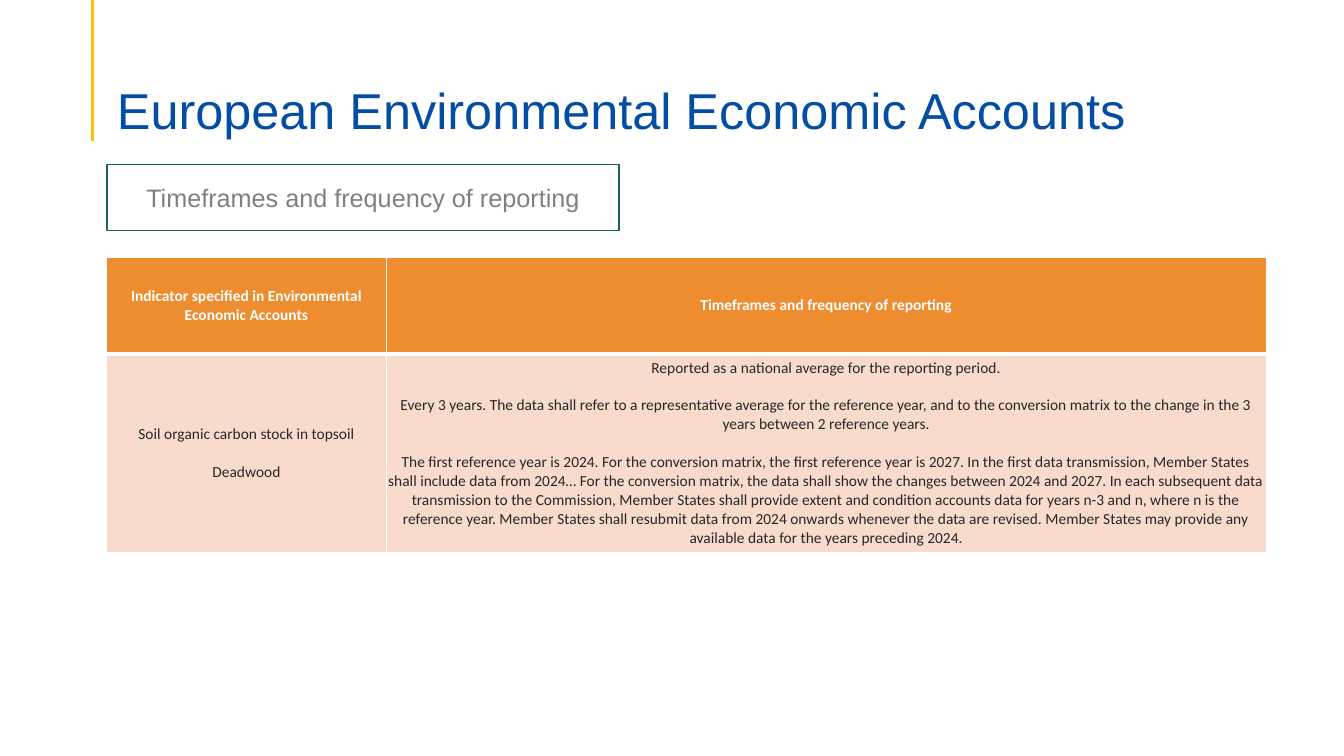
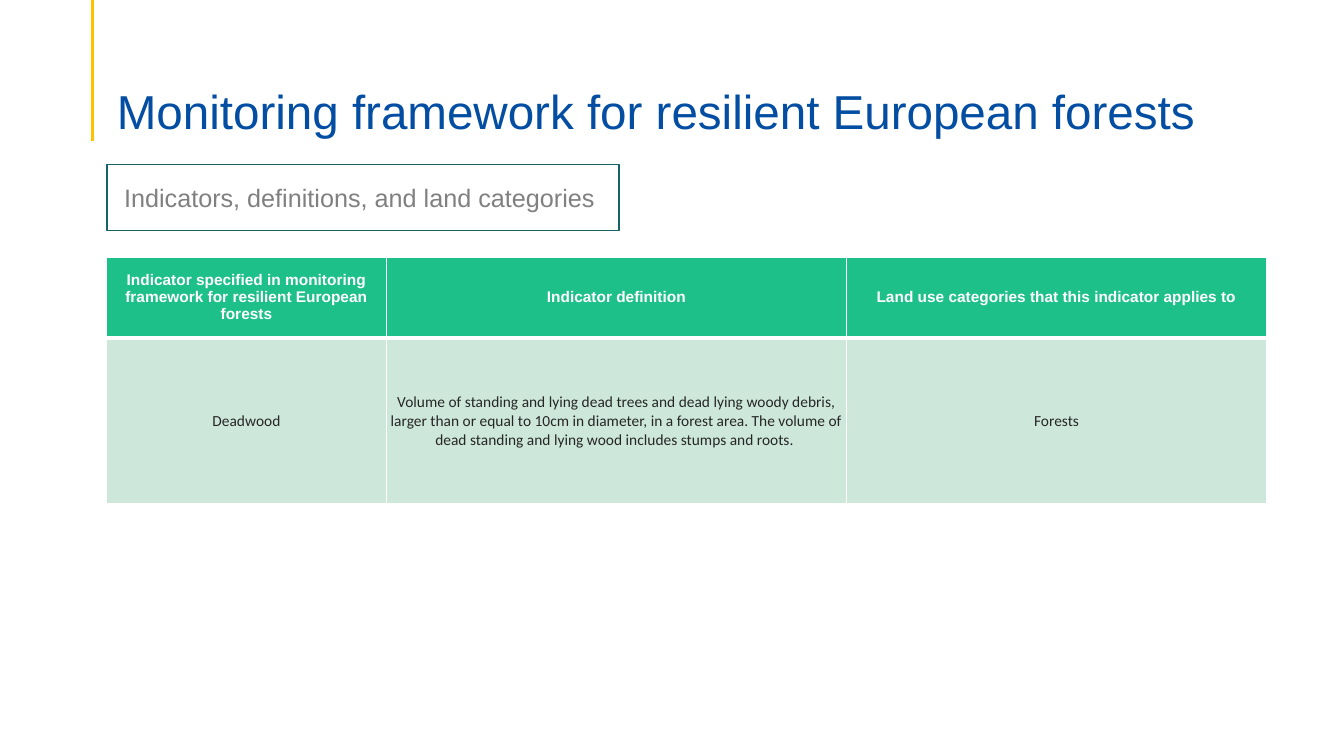
from lxml.etree import SubElement
from pptx import Presentation
from pptx.dml.color import RGBColor
from pptx.enum.shapes import MSO_CONNECTOR as Connector, MSO_SHAPE as Shape
from pptx.enum.text import MSO_ANCHOR as Anchor, MSO_AUTO_SIZE as AutoSize, PP_ALIGN as Align
from pptx.oxml.ns import qn
from pptx.util import Emu, Pt

WHITE = RGBColor(0xFF, 0xFF, 0xFF)
GOLD = RGBColor(0xFF, 0xC0, 0x00)
BLUE = RGBColor(0x03, 0x4E, 0xA2)
TEAL = RGBColor(0x16, 0x62, 0x67)
GRAY = RGBColor(0x80, 0x80, 0x80)
INK = RGBColor(0x26, 0x26, 0x26)
ORANGE = RGBColor(0xED, 0x8D, 0x2F)
PEACH = RGBColor(0xF8, 0xDB, 0xCD)
GREEN = RGBColor(0x1E, 0xC0, 0x8A)
MINT = RGBColor(0xCD, 0xE8, 0xDA)

LEFT, WIDTH = 106, 1150
TITLE_BOX = (LEFT, 53, WIDTH, 86)
LABEL_BOX = (LEFT, 163, 508, 66)
TABLE_TOP = 255
ACCENT_X, ACCENT_HEIGHT = 92, 140
CELL_SIZE = 11
PARA_GAP = Pt(13.4)


def px(count):
    return Emu(count * 9144)


def style(para, size, face, color, bold=False):
    for span in para.runs:
        font = span.font
        font.size, font.name, font.bold = Pt(size), face, bold
        font.color.rgb = color


def add_accent(page):
    line = page.shapes.add_connector(
        Connector.STRAIGHT, px(ACCENT_X), px(0), px(ACCENT_X), px(ACCENT_HEIGHT))
    line.line.color.rgb = GOLD
    line.line.width = Pt(2.25)
    SubElement(line._element.spPr, qn("a:effectLst"))


def add_title(page, box, text, size):
    title = page.shapes.title
    title.left, title.top, title.width, title.height = map(px, box)
    frame = title.text_frame
    frame.text = text
    frame.auto_size = AutoSize.NONE
    frame.word_wrap = True
    frame.vertical_anchor = Anchor.BOTTOM
    frame.margin_left = frame.margin_right = px(10)
    frame.margin_top, frame.margin_bottom = px(5), 0
    para = frame.paragraphs[0]
    para.alignment = Align.LEFT
    para.line_spacing = 0.9
    style(para, size, "Arial", BLUE)


def add_label(page, box, text):
    label = page.shapes.add_shape(Shape.RECTANGLE, *map(px, box))
    label.shadow.inherit = False
    label.fill.solid()
    label.fill.fore_color.rgb = WHITE
    label.line.color.rgb = TEAL
    label.line.width = Pt(1)
    frame = label.text_frame
    frame.text = text
    frame.word_wrap = True
    frame.vertical_anchor = Anchor.MIDDLE
    para = frame.paragraphs[0]
    para.alignment = Align.CENTER
    style(para, 18, "Arial", GRAY)


def add_borders(cell, top, bottom):
    props = cell._tc.get_or_add_tcPr()
    for side, points in (("L", 1), ("R", 1), ("T", top), ("B", bottom)):
        edge = SubElement(props, qn(f"a:ln{side}"), w=str(Pt(points)))
        paint = SubElement(edge, qn("a:solidFill"))
        SubElement(paint, qn("a:srgbClr"), val=str(WHITE))


def fill_cell(cell, lines, fill, face, color, bold):
    add_borders(cell, *((1, 3) if bold else (3, 1)))
    cell.fill.solid()
    cell.fill.fore_color.rgb = fill
    cell.vertical_anchor = Anchor.MIDDLE
    cell.margin_left = cell.margin_right = cell.margin_top = cell.margin_bottom = 0
    cell.text_frame.text = "\n".join(lines)
    for index, para in enumerate(cell.text_frame.paragraphs):
        para.alignment = Align.CENTER
        if index:
            para.space_before = PARA_GAP
        style(para, CELL_SIZE, face, color, bold)


def add_indicator_table(page, left, top, widths, heights, header, body, header_face, fills):
    table = page.shapes.add_table(
        2, len(widths), px(left), px(top), px(sum(widths)), px(sum(heights))).table
    for column, width in zip(table.columns, widths):
        column.width = px(width)
    for row, height in zip(table.rows, heights):
        row.height = px(height)
    for index, (heading, lines) in enumerate(zip(header, body)):
        fill_cell(table.cell(0, index), [heading], fills[0], header_face, WHITE, True)
        fill_cell(table.cell(1, index), lines, fills[1], "Calibri", INK, False)


def add_indicator_page(deck, title, title_size, label, **table):
    page = deck.slides.add_slide(deck.slide_layouts[5])
    add_accent(page)
    add_indicator_table(page, LEFT, TABLE_TOP, **table)
    add_title(page, TITLE_BOX, title, title_size)
    add_label(page, LABEL_BOX, label)


def main():
    deck = Presentation()
    deck.slide_width, deck.slide_height = px(1333), px(750)
    add_indicator_page(
        deck, "European Environmental Economic Accounts", 36,
        "Timeframes and frequency of reporting",
        widths=(277, 873), heights=(96, 197),
        header=("Indicator specified in Environmental Economic Accounts",
                "Timeframes and frequency of reporting"),
        body=(["Soil organic carbon stock in topsoil", "Deadwood"],
              ["Reported as a national average for the reporting period.",
               "Every 3 years. The data shall refer to a representative average for the "
               "reference year, and to the conversion matrix to the change in the 3 years "
               "between 2 reference years.",
               "The first reference year is 2024. For the conversion matrix, the first "
               "reference year is 2027. In the first data transmission, Member States shall "
               "include data from 2024… For the conversion matrix, the data shall show the "
               "changes between 2024 and 2027. In each subsequent data transmission to the "
               "Commission, Member States shall provide extent and condition accounts data "
               "for years n-3 and n, where n is the reference year. Member States shall "
               "resubmit data from 2024 onwards whenever the data are revised. Member States "
               "may provide any available data for the years preceding 2024."]),
        header_face="Calibri", fills=(ORANGE, PEACH))
    add_indicator_page(
        deck, "Monitoring framework for resilient European forests", 34,
        "Indicators, definitions, and land categories ",
        widths=(277, 457, 416), heights=(80, 165),
        header=("Indicator specified in monitoring framework for resilient European forests",
                "Indicator definition",
                "Land use categories that this indicator applies to"),
        body=(["Deadwood"],
              ["Volume of standing and lying dead trees and dead lying woody debris, larger "
               "than or equal to 10cm in diameter, in a forest area. The volume of dead "
               "standing and lying wood includes stumps and roots. "],
              ["Forests"]),
        header_face="Arial", fills=(GREEN, MINT))
    deck.save("out.pptx")


if __name__ == "__main__":
    main()
